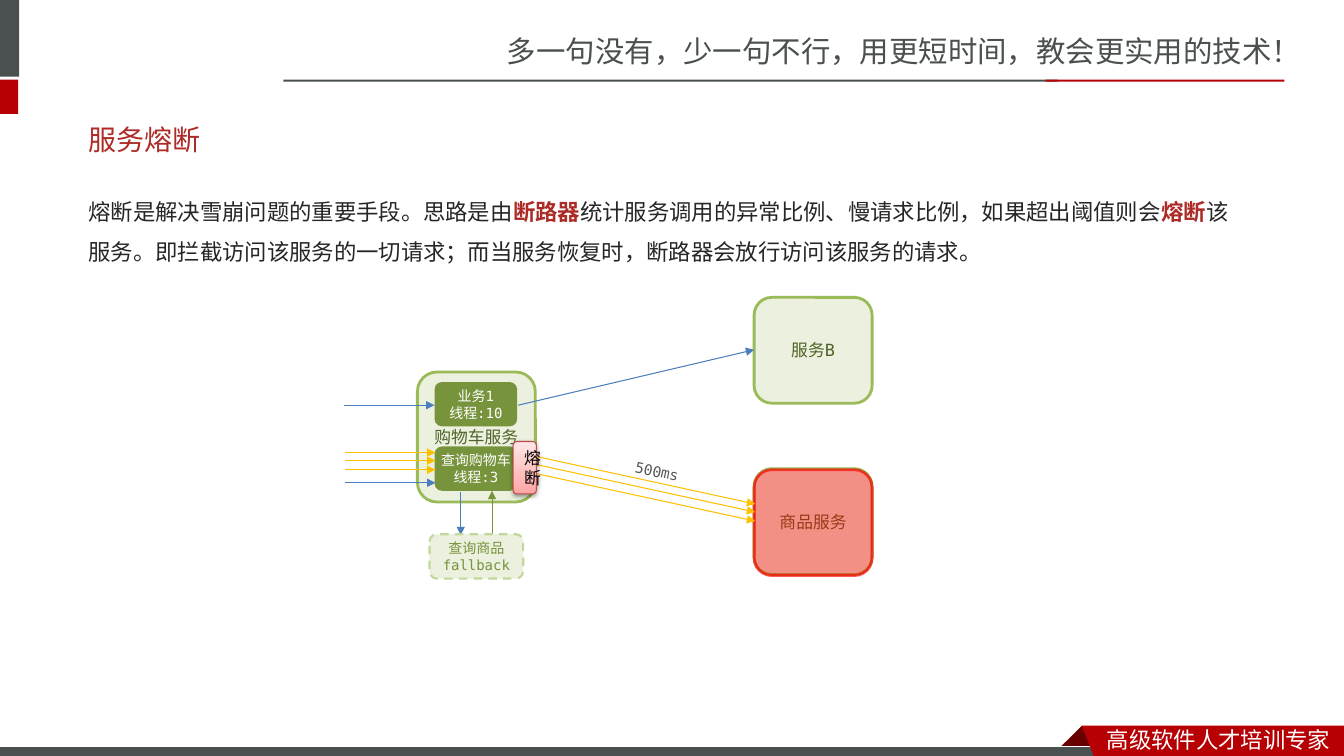
"""Build the service circuit breaker slide."""
from lxml import etree
from pptx import Presentation
from pptx.dml.color import RGBColor
from pptx.enum.dml import MSO_LINE
from pptx.enum.shapes import MSO_CONNECTOR, MSO_SHAPE
from pptx.enum.text import MSO_ANCHOR, PP_ALIGN
from pptx.oxml.ns import qn
from pptx.util import Inches, Pt

RECTANGLE, ROUNDED = MSO_SHAPE.RECTANGLE, MSO_SHAPE.ROUNDED_RECTANGLE
STRAIGHT, DASH = MSO_CONNECTOR.STRAIGHT, MSO_LINE.DASH
MIDDLE, CENTER = MSO_ANCHOR.MIDDLE, PP_ALIGN.CENTER

THEME = {
    "grey": "49504F", "red": "B60004", "dark_red": "680000", "white": "FFFFFF", "black": "000000",
    "title": "AD2A26", "accent": "AD2B26", "body": "262626", "label": "595959",
    "pale_green": "EBF1DE", "border_green": "9BBB59", "soft_green": "C3D69B",
    "green": "77933C", "dark_green": "4F6228", "failure": "FF0000",
    "blue": "4B7EBC", "amber": "FFC000",
    "breaker_start": "FFA6A5", "breaker_end": "FFE7E7", "breaker_line": "BF4C48",
    "heading_font": "Calibri", "body_font": "Noto Sans CJK JP",
    "brand_font": "Noto Sans CJK SC", "diagram_font": "DejaVu Sans Mono",
    "slogan_size": 21, "title_size": 20, "body_size": 16,
    "service_size": 12, "thread_size": 10, "label_size": 10.5,
}

SIDE_AND_RULES = [
    ((-0.06, 0, 0.25, 0.76), "grey"),
    ((-0.06, 0.79, 0.24, 0.34), "red"),
    ((2.81, 0.79, 7.68, 0.02), "grey"),
    ((10.37, 0.79, 2.37, 0.02), "red"),
]
RIBBON_FOLD = [(10.73, 7.2), (10.95, 7.42), (10.94, 7.43), (10.52, 7.43), (10.51, 7.42)]
RIBBON = [(10.73, 7.2), (13.33, 7.2), (13.33, 7.54), (10.86, 7.53)]
FOOTER_BAR = (-0.01, 7.41, 11, 0.12)

SLOGAN = "多一句没有，少一句不行，用更短时间，教会更实用的技术！"
FOOTER = "高级软件人才培训专家"
TITLE = "服务熔断"
BODY = [
    ("熔断是解决雪崩问题的重要手段。思路是由", False),
    ("断路器", True),
    ("统计服务调用的异常比例、慢请求比例，如果超出阈值则会", False),
    ("熔断", True),
    ("该服务。即拦截访问该服务的一切请求；而当服务恢复时，断路器会放行访问该服务的请求。", False),
]
SERVICES = [
    ((4.14, 3.69, 1.17, 1.29), "购物车服务"),
    ((7.48, 2.95, 1.17, 1.05), "服务B"),
    ((7.48, 4.65, 1.17, 1.05), "商品服务"),
]
FAILURE_BOX = (7.48, 4.66, 1.17, 1.05)
THREADS = [
    ((4.31, 3.79, 0.82, 0.44), ["业务1", "线程:10"], 0.1),
    ((4.31, 4.43, 0.82, 0.44), ["查询购物车", "线程:3"], 0),
]
FALLBACK = ((4.26, 5.3, 0.93, 0.44), ["查询商品", "fallback"])
BREAKER = ((5.09, 4.38, 0.23, 0.52), "熔断")
LATENCY = ((6.2, 4.54, 0.64, 0.28), "500ms")
SLOW_REQUESTS = [4.49, 4.57, 4.66]
SLOW_CALL_DROP = 0.51
ARROWS = [
    ((3.41, 4.02), (4.31, 4.02), "blue"),
    ((5.14, 4.02), (7.48, 3.47), "blue"),
    ((4.57, 4.88), (4.57, 5.31), "blue"),
    ((4.88, 5.3), (4.88, 4.87), "green"),
    ((3.42, 4.79), (4.32, 4.79), "blue"),
]


def color(name):
    return RGBColor.from_string(THEME[name])


def inches(values):
    return [Inches(value) for value in values]


def set_font(paragraph, font, size, tint):
    paragraph.font.name = THEME[font]
    paragraph.font.size = Pt(THEME[size])
    paragraph.font.color.rgb = color(tint)
    properties = paragraph._p.pPr.find(qn("a:defRPr"))
    east_asian = "body_font" if font == "body_font" else "brand_font"
    etree.SubElement(properties, qn("a:ea"), typeface=THEME[east_asian])


def add_text(slide, box, text, font, size, tint, wrap=True):
    shape = slide.shapes.add_textbox(*inches(box))
    shape.text_frame.word_wrap = wrap
    paragraph = shape.text_frame.paragraphs[0]
    paragraph.text = text
    set_font(paragraph, font, size, tint)
    return shape


def add_box(slide, kind, box, fill, line=None, width=0.75):
    shape = slide.shapes.add_shape(kind, *inches(box))
    shape.shadow.inherit = False
    paint(shape, fill, line, width)
    return shape


def paint(shape, fill, line=None, width=0.75):
    shape.fill.solid()
    shape.fill.fore_color.rgb = color(fill)
    if line:
        shape.line.color.rgb = color(line)
        shape.line.width = Pt(width)
    else:
        shape.line.fill.background()


def write_centred(shape, lines, size, tint, side=0.1):
    frame = shape.text_frame
    frame.word_wrap = True
    frame.vertical_anchor = MIDDLE
    frame.margin_left = frame.margin_right = Inches(side)
    frame.text = "\n".join(lines)
    for paragraph in frame.paragraphs:
        paragraph.alignment = CENTER
        set_font(paragraph, "diagram_font", size, tint)


def add_outline(slide, points, fill):
    start, *rest = [tuple(inches(point)) for point in points]
    builder = slide.shapes.build_freeform(*start, scale=1.0)
    builder.add_line_segments(rest, close=True)
    shape = builder.convert_to_shape()
    shape.shadow.inherit = False
    paint(shape, fill)


def add_arrow(slide, start, end, tint):
    connector = slide.shapes.add_connector(STRAIGHT, *inches(start + end))
    connector.line.color.rgb = color(tint)
    connector.line.width = Pt(0.75)
    properties = connector._element.spPr
    etree.SubElement(properties.find(qn("a:ln")), qn("a:tailEnd"), type="triangle")
    etree.SubElement(properties, qn("a:effectLst"))


def add_frame(slide):
    for box, fill in SIDE_AND_RULES:
        add_box(slide, RECTANGLE, box, fill)
    add_outline(slide, RIBBON_FOLD, "dark_red")
    add_box(slide, RECTANGLE, FOOTER_BAR, "grey", "white")
    add_outline(slide, RIBBON, "red")
    add_text(slide, (4.93, 0.28, 8.41, 0.47), SLOGAN, "brand_font", "slogan_size", "grey")
    add_text(slide, (10.88, 7.15, 2.45, 0.37), FOOTER, "brand_font", "body_size", "white")


def add_explanation(slide):
    title = add_text(slide, (0.78, 1.16, 11.7, 0.44), TITLE, "heading_font", "title_size", "title")
    title.text_frame.vertical_anchor = MIDDLE
    title.text_frame.paragraphs[0].space_before = Pt(4)
    body = add_text(slide, (0.78, 1.78, 11.7, 4.22), "", "body_font", "body_size", "body")
    paragraph = body.text_frame.paragraphs[0]
    paragraph.line_spacing = 1.5
    paragraph.space_before = Pt(3.2)
    for text, emphasised in BODY:
        run = paragraph.add_run()
        run.text = text
        if emphasised:
            run.font.bold = True
            run.font.color.rgb = color("accent")


def add_breaker(slide):
    box, text = BREAKER
    breaker = add_box(slide, ROUNDED, box, "breaker_start", "breaker_line")
    breaker.fill.gradient()
    breaker.fill.gradient_angle = 90
    for stop, tint in zip(breaker.fill.gradient_stops, ("breaker_start", "breaker_end")):
        stop.color.rgb = color(tint)
    effects = breaker._element.spPr.find(qn("a:effectLst"))
    shadow = etree.SubElement(effects, qn("a:outerShdw"), blurRad=str(Pt(3.1)),
                              dist=str(Pt(1.6)), dir="5400000", rotWithShape="0")
    tint = etree.SubElement(shadow, qn("a:srgbClr"), val=THEME["black"])
    etree.SubElement(tint, qn("a:alpha"), val="38000")
    write_centred(breaker, [text], "service_size", "black")


def add_diagram(slide):
    for box, text in SERVICES:
        service = add_box(slide, ROUNDED, box, "pale_green", "border_green", 2)
        write_centred(service, [text], "service_size", "dark_green")
    failure = add_box(slide, ROUNDED, FAILURE_BOX, "failure", "failure", 2)
    opacities = ("40000", "64000")
    for tint, opacity in zip(failure._element.spPr.iter(qn("a:srgbClr")), opacities):
        etree.SubElement(tint, qn("a:alpha"), val=opacity)
    for box, lines, side in THREADS:
        thread = add_box(slide, ROUNDED, box, "green")
        write_centred(thread, lines, "thread_size", "white", side)
    for start, end, tint in ARROWS:
        add_arrow(slide, start, end, tint)
    for top in SLOW_REQUESTS:
        add_arrow(slide, (3.42, top), (4.32, top), "amber")
        add_arrow(slide, (5.14, top), (7.49, top + SLOW_CALL_DROP), "amber")
    box, lines = FALLBACK
    fallback = add_box(slide, ROUNDED, box, "pale_green", "soft_green", 1.5)
    fallback.line.dash_style = DASH
    write_centred(fallback, lines, "thread_size", "green")
    latency = add_text(slide, *LATENCY, "diagram_font", "label_size", "label", wrap=False)
    latency.rotation = 12.1
    add_breaker(slide)


def main():
    presentation = Presentation()
    presentation.slide_width, presentation.slide_height = inches((13.33, 7.5))
    slide = presentation.slides.add_slide(presentation.slide_layouts[6])
    add_frame(slide)
    add_explanation(slide)
    add_diagram(slide)
    presentation.save("out.pptx")


if __name__ == "__main__":
    main()
